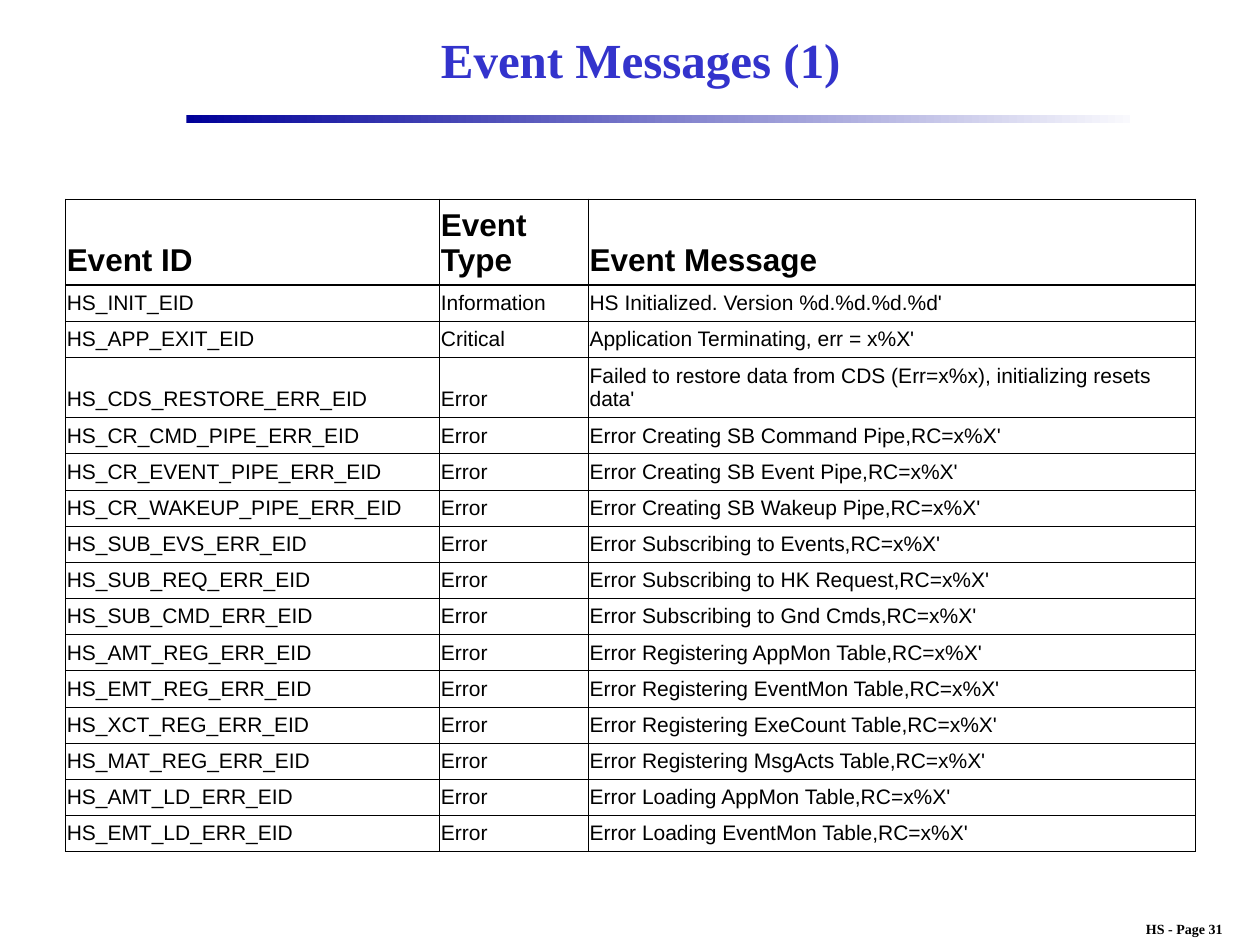
from lxml import etree
from pptx import Presentation
from pptx.dml.color import RGBColor
from pptx.enum import shapes, text
from pptx.oxml.ns import qn
from pptx.util import Inches, Pt

COLORS = {"title": "3333CC", "ink": "000000", "bar_start": "000099", "bar_end": "F9F9FD"}

TITLE = {"name": "Times New Roman", "size": Pt(28), "bold": True}
FOOTER = {"name": "Times New Roman", "size": Pt(8), "bold": True}
HEADER = {"name": "Arial", "size": Pt(18), "bold": True}
BODY = {"name": "Arial", "size": Pt(12), "bold": False}

CELL = {
    "margin_left": Inches(0.01), "margin_right": Inches(0.01),
    "margin_top": Inches(0.03), "margin_bottom": Inches(0.05),
    "vertical_anchor": text.MSO_ANCHOR.BOTTOM,
}
THIN, THICK = Pt(0.45), Pt(0.96)

COLUMN_WIDTHS = [2.97, 1.18, 4.82]
TABLE_HEIGHT, HEADER_HEIGHT, TWO_LINE_HEIGHT = 5.16, 0.66, 0.48
TWO_LINE_ROW = 3

EVENTS = [
    ("Event ID", "Event Type", "Event Message"),
    ("HS_INIT_EID", "Information", "HS Initialized. Version %d.%d.%d.%d'"),
    ("HS_APP_EXIT_EID", "Critical", "Application Terminating, err = x%X'"),
    ("HS_CDS_RESTORE_ERR_EID", "Error",
     "Failed to restore data from CDS (Err=x%x), initializing resets data'"),
    ("HS_CR_CMD_PIPE_ERR_EID", "Error", "Error Creating SB Command Pipe,RC=x%X'"),
    ("HS_CR_EVENT_PIPE_ERR_EID", "Error", "Error Creating SB Event Pipe,RC=x%X'"),
    ("HS_CR_WAKEUP_PIPE_ERR_EID", "Error", "Error Creating SB Wakeup Pipe,RC=x%X'"),
    ("HS_SUB_EVS_ERR_EID", "Error", "Error Subscribing to Events,RC=x%X'"),
    ("HS_SUB_REQ_ERR_EID", "Error", "Error Subscribing to HK Request,RC=x%X'"),
    ("HS_SUB_CMD_ERR_EID", "Error", "Error Subscribing to Gnd Cmds,RC=x%X'"),
    ("HS_AMT_REG_ERR_EID", "Error", "Error Registering AppMon Table,RC=x%X'"),
    ("HS_EMT_REG_ERR_EID", "Error", "Error Registering EventMon Table,RC=x%X'"),
    ("HS_XCT_REG_ERR_EID", "Error", "Error Registering ExeCount Table,RC=x%X'"),
    ("HS_MAT_REG_ERR_EID", "Error", "Error Registering MsgActs Table,RC=x%X'"),
    ("HS_AMT_LD_ERR_EID", "Error", "Error Loading AppMon Table,RC=x%X'"),
    ("HS_EMT_LD_ERR_EID", "Error", "Error Loading EventMon Table,RC=x%X'"),
]


def rgb(key):
    return RGBColor.from_string(COLORS[key])


def set_attrs(obj, values):
    for name, value in values.items():
        setattr(obj, name, value)


def write(tf, content, font, color="ink", align=text.PP_ALIGN.LEFT):
    p = tf.paragraphs[0]
    p.alignment = align
    r = p.add_run()
    r.text = content
    set_attrs(r.font, font)
    r.font.color.rgb = rgb(color)


def add_title(s, content):
    sp = s.shapes.title
    set_attrs(sp, {"left": Inches(1.5), "top": Inches(0.09),
                   "width": Inches(7.17), "height": Inches(0.75)})
    tf = sp.text_frame
    set_attrs(tf, {"vertical_anchor": text.MSO_ANCHOR.MIDDLE,
                   "auto_size": text.MSO_AUTO_SIZE.NONE})
    write(tf, content, TITLE, "title", text.PP_ALIGN.CENTER)


def add_gradient_bar(s):
    sp = s.shapes.add_shape(shapes.MSO_SHAPE.RECTANGLE,
                            Inches(1.48), Inches(0.91), Inches(7.49), Inches(0.07))
    sp.shadow.inherit = False
    sp.line.fill.background()
    sp.fill.gradient()
    sp.fill.gradient_angle = 0
    for stop, key, position in zip(sp.fill.gradient_stops, ("bar_start", "bar_end"), (0, 1)):
        stop.color.rgb = rgb(key)
        stop.position = position


def add_footer(s, content):
    sp = s.shapes.add_textbox(Inches(8.8), Inches(7.26), Inches(1.2), Inches(0.23))
    tf = sp.text_frame
    set_attrs(tf, {"word_wrap": False, "auto_size": text.MSO_AUTO_SIZE.SHAPE_TO_FIT_TEXT})
    write(tf, content, FOOTER, align=text.PP_ALIGN.CENTER)


def set_borders(cell, widths):
    tc_pr = cell._tc.get_or_add_tcPr()
    for side, width in widths.items():
        ln = etree.SubElement(tc_pr, qn(f"a:ln{side}"), w=str(int(width)))
        fill = etree.SubElement(ln, qn("a:solidFill"))
        etree.SubElement(fill, qn("a:srgbClr"), val=COLORS["ink"])


def add_event_table(s):
    # One-line rows share the height left by the two taller rows
    line_height = (TABLE_HEIGHT - HEADER_HEIGHT - TWO_LINE_HEIGHT) / (len(EVENTS) - 2)
    heights = [line_height] * len(EVENTS)
    heights[0], heights[TWO_LINE_ROW] = HEADER_HEIGHT, TWO_LINE_HEIGHT
    table = s.shapes.add_table(len(EVENTS), len(COLUMN_WIDTHS), Inches(0.52), Inches(1.58),
                               Inches(sum(COLUMN_WIDTHS)), Inches(TABLE_HEIGHT)).table
    set_attrs(table, {"first_row": False, "horz_banding": False})
    for column, width in zip(table.columns, COLUMN_WIDTHS):
        column.width = Inches(width)
    for i, (row, height, event) in enumerate(zip(table.rows, heights, EVENTS)):
        row.height = Inches(height)
        # The rule between header and body is heavier
        widths = {"L": THIN, "R": THIN,
                  "T": THICK if i == 1 else THIN, "B": THICK if i == 0 else THIN}
        for cell, content in zip(row.cells, event):
            set_attrs(cell, CELL)
            set_borders(cell, widths)
            cell.fill.background()
            write(cell.text_frame, content, BODY if i else HEADER)


def main():
    prs = Presentation()
    set_attrs(prs, {"slide_width": Inches(10), "slide_height": Inches(7.5)})
    s = prs.slides.add_slide(prs.slide_layouts[5])

    # Page furniture
    add_footer(s, "HS - Page 31")
    add_gradient_bar(s)

    # Content
    add_title(s, "Event Messages (1)")
    add_event_table(s)
    prs.save("out.pptx")


if __name__ == "__main__":
    main()
